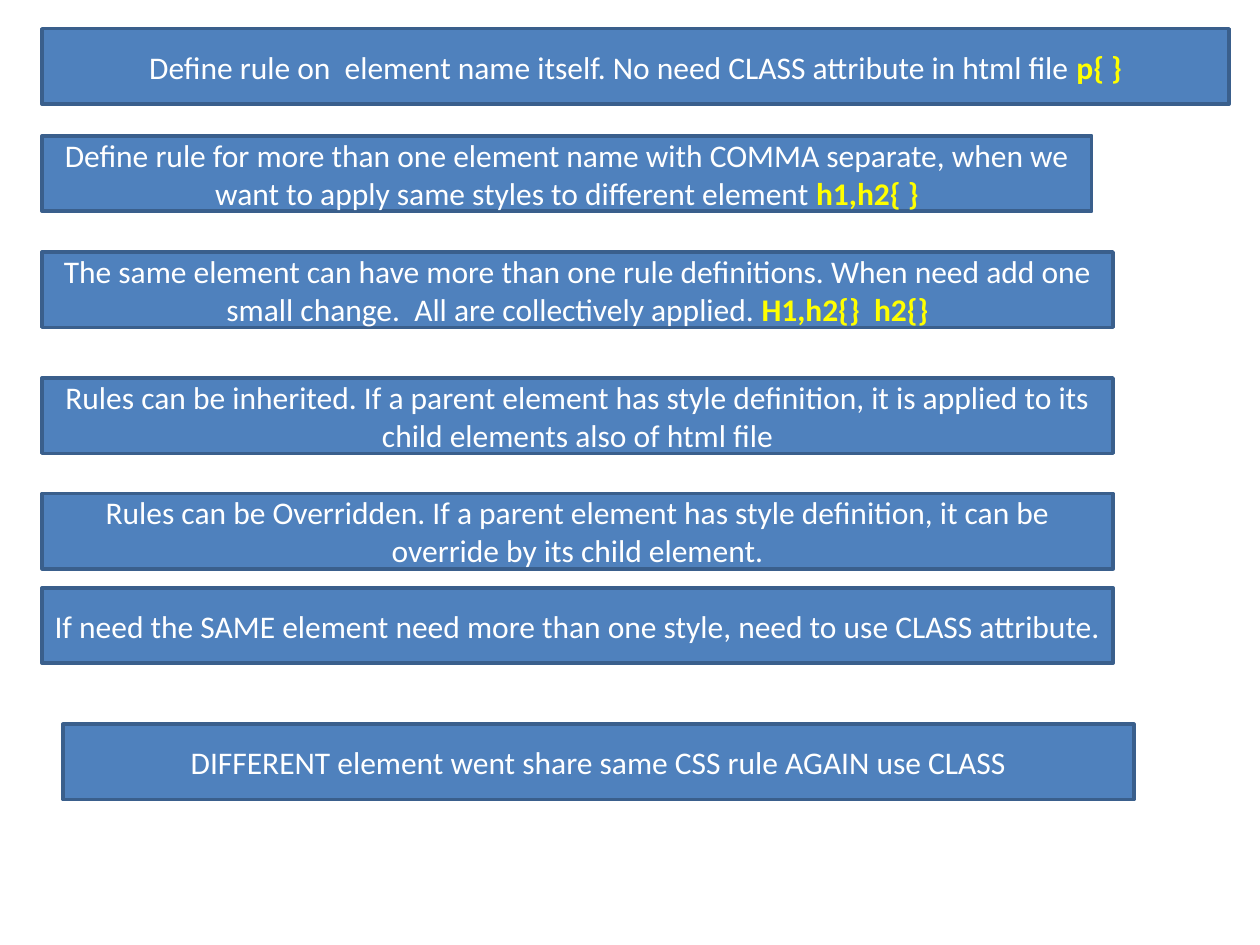
from pptx import Presentation
from pptx.dml.color import RGBColor
from pptx.enum.shapes import MSO_SHAPE
from pptx.enum.text import MSO_ANCHOR, PP_ALIGN
from pptx.util import Cm, Pt

RECTANGLE = MSO_SHAPE.RECTANGLE
MIDDLE = MSO_ANCHOR.MIDDLE
CENTER = PP_ALIGN.CENTER

BLUE = RGBColor(0x4F, 0x81, 0xBD)
DARK_BLUE = RGBColor(0x3A, 0x5F, 0x8C)
WHITE = RGBColor(0xFF, 0xFF, 0xFF)
YELLOW = RGBColor(0xFF, 0xFF, 0x00)

LEFT = 0.85
WIDTH = 21.59
HEIGHT = 1.52


def add_span(paragraph, text, color=WHITE, bold=False, size=18, font="Calibri"):
    span = paragraph.add_run()
    span.text = text
    span.font.name = font
    span.font.size = Pt(size)
    span.font.bold = bold
    span.font.color.rgb = color


deck = Presentation()
deck.slide_width = Cm(25.4)
deck.slide_height = Cm(19.05)
page = deck.slides.add_slide(deck.slide_layouts[6])

# Rules: left, top, width in cm, sentence, highlighted selector
rules = [
    (LEFT, 0.58, 23.93,
     "Define rule on  element name itself. No need CLASS attribute in html file ",
     "p{ }"),
    (LEFT, 2.74, 21.16,
     "Define rule for more than one element name with COMMA separate, "
     "when we want to apply same styles to different element ",
     "h1,h2{ }"),
    (LEFT, 5.08, WIDTH,
     "The same element can have more than one rule definitions. "
     "When need add one small change.  All are collectively applied. ",
     "H1,h2{}  h2{}"),
    (LEFT, 7.62, WIDTH,
     "Rules can be inherited. If a parent element has style definition, "
     "it is applied to its child elements also of html file", ""),
    (LEFT, 9.95, WIDTH,
     "Rules can be Overridden. If a parent element has style definition, "
     "it can be override by its child element.", ""),
    (LEFT, 11.85, WIDTH,
     "If need the SAME element need more than one style, "
     "need to use CLASS attribute.", ""),
    (1.27, 14.6, WIDTH,
     "DIFFERENT element went share same CSS rule AGAIN use CLASS", ""),
]

# One bar per rule
for left, top, width, sentence, selector in rules:
    box = page.shapes.add_shape(RECTANGLE, Cm(left), Cm(top), Cm(width), Cm(HEIGHT))
    box.shadow.inherit = False
    box.fill.solid()
    box.fill.fore_color.rgb = BLUE
    box.line.color.rgb = DARK_BLUE
    box.line.width = Pt(2)

    frame = box.text_frame
    frame.word_wrap = True
    frame.vertical_anchor = MIDDLE
    para = frame.paragraphs[0]
    para.alignment = CENTER
    add_span(para, sentence)
    if selector:
        add_span(para, selector, color=YELLOW, bold=True)

deck.save("out.pptx")
